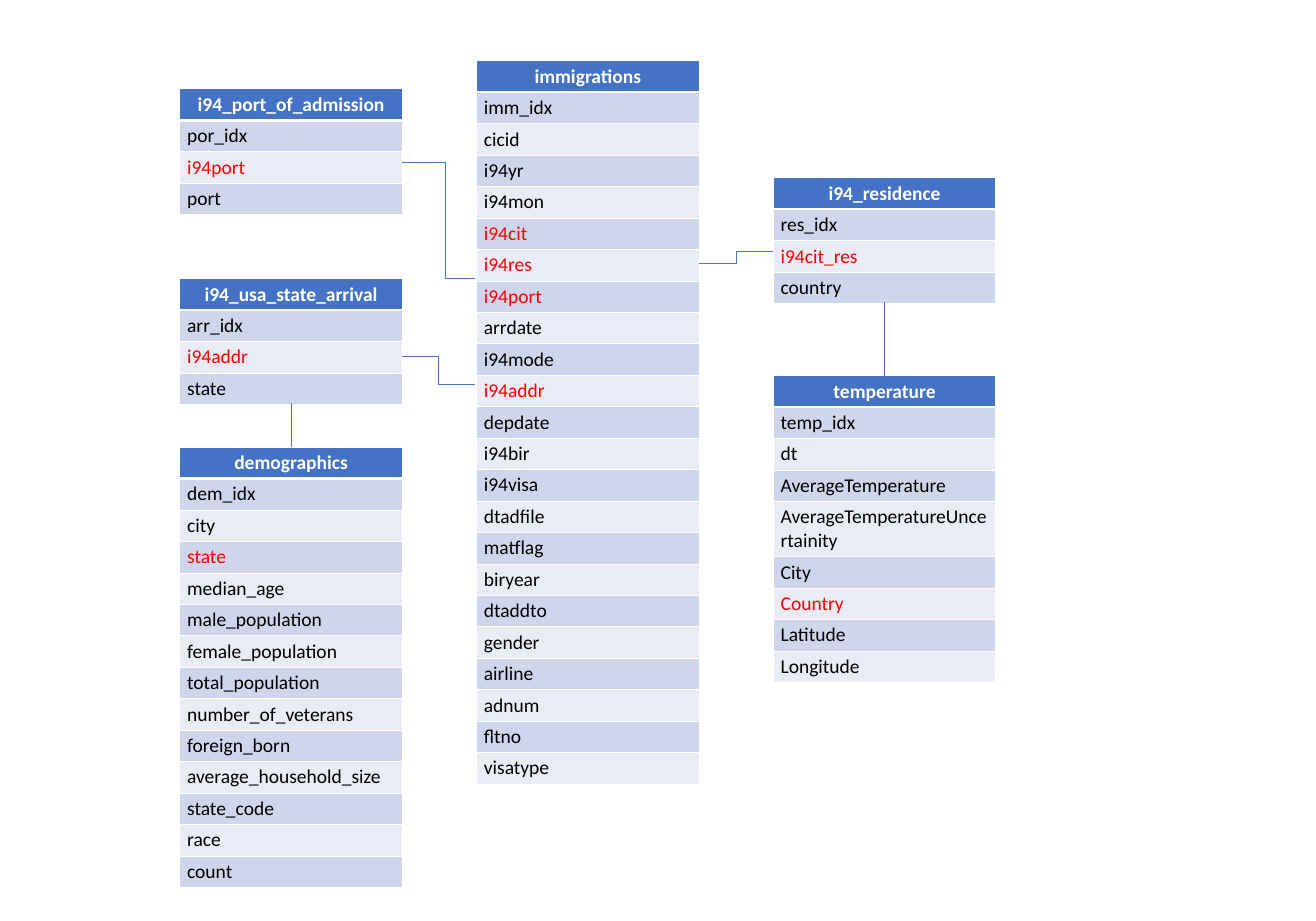
"""Build a database schema slide: six entity tables joined by key links."""
import pptx
import pptx.dml.color
import pptx.enum.shapes
import pptx.enum.text
import pptx.oxml
import pptx.oxml.ns
import pptx.util
from lxml import etree

Inches, Pt = pptx.util.Inches, pptx.util.Pt
STRAIGHT = pptx.enum.shapes.MSO_CONNECTOR.STRAIGHT
ELBOW = pptx.enum.shapes.MSO_CONNECTOR.ELBOW

COLORS = {"header": "4472C4", "odd": "CFD5EA", "even": "E9EBF5",
          "text": "000000", "key": "FF0000", "white": "FFFFFF"}
FONT, FONT_SIZE = "Calibri", 21

ENTITIES = {
    "immigrations": dict(column=1, top=0.91, keys={"i94cit", "i94res", "i94port", "i94addr"}, fields=[
        "imm_idx", "cicid", "i94yr", "i94mon", "i94cit", "i94res", "i94port", "arrdate",
        "i94mode", "i94addr", "depdate", "i94bir", "i94visa", "dtadfile", "matflag",
        "biryear", "dtaddto", "gender", "airline", "adnum", "fltno", "visatype"]),
    "demographics": dict(column=0, top=6.69, keys={"state"}, fields=[
        "dem_idx", "city", "state", "median_age", "male_population", "female_population",
        "total_population", "number_of_veterans", "foreign_born",
        "average_household_size", "state_code", "race", "count"]),
    "temperature": dict(column=2, top=5.62, keys={"Country"}, fields=[
        "temp_idx", "dt", "AverageTemperature", "AverageTemperatureUncertainity",
        "City", "Country", "Latitude", "Longitude"]),
    "i94_residence": dict(column=2, top=2.66, keys={"i94cit_res"},
                          fields=["res_idx", "i94cit_res", "country"]),
    "i94_port_of_admission": dict(column=0, top=1.33, keys={"i94port"},
                                  fields=["por_idx", "i94port", "port"]),
    "i94_usa_state_arrival": dict(column=0, top=4.17, keys={"i94addr"},
                                  fields=["arr_idx", "i94addr", "state"]),
}
STACKED = [("i94_residence", "temperature"), ("i94_usa_state_arrival", "demographics")]

LEFT, PITCH, WIDTH = 2.69, 4.44, 3.33
ROW, TALL_ROW, LONGEST_FIELD = 1.86 / 4, 0.8, 24
LINK_GAP = 0.03


def rgb(name):
    return pptx.dml.color.RGBColor.from_string(COLORS[name])


def left_of(entity):
    return LEFT + PITCH * ENTITIES[entity]["column"]


def row_y(entity, rows):
    return ENTITIES[entity]["top"] + ROW * rows


def add_borders(cell, bottom):
    properties = cell._tc.get_or_add_tcPr()
    for place, (side, width) in enumerate([("L", 1), ("R", 1), ("T", 1), ("B", bottom)]):
        properties.insert(place, pptx.oxml.parse_xml(
            f'<a:ln{side} {pptx.oxml.ns.nsdecls("a")} w="{Pt(width)}"><a:solidFill>'
            f'<a:srgbClr val="{COLORS["white"]}"/></a:solidFill></a:ln{side}>'))


def add_entity(slide, name, column, top, keys, fields):
    labels = [name] + fields
    heights = [TALL_ROW if len(label) > LONGEST_FIELD else ROW for label in labels]
    table = slide.shapes.add_table(len(labels), 1, Inches(left_of(name)), Inches(top),
                                   Inches(WIDTH), Inches(sum(heights))).table
    for index, (label, height) in enumerate(zip(labels, heights)):
        header = index == 0
        table.rows[index].height = Inches(height)
        cell = table.cell(index, 0)
        cell.text = label
        cell.margin_left = cell.margin_right = Inches(0.11)
        cell.margin_top = cell.margin_bottom = Pt(4.1)
        cell.fill.solid()
        cell.fill.fore_color.rgb = rgb("header" if header else "odd" if index % 2 else "even")
        add_borders(cell, 3 if header else 1)
        paragraph = cell.text_frame.paragraphs[0]
        if header:
            paragraph.alignment = pptx.enum.text.PP_ALIGN.CENTER
        font = paragraph.font
        font.name, font.size, font.bold = FONT, Pt(FONT_SIZE), header
        font.color.rgb = rgb("white" if header else "key" if label in keys else "text")


def add_link(slide, kind, start, end):
    link = slide.shapes.add_connector(kind, *map(Inches, start + end))
    link.line.color.rgb = rgb("header")
    link.line.width = Pt(0.5)
    etree.SubElement(link._element.spPr, pptx.oxml.ns.qn("a:effectLst"))


deck = pptx.Presentation()
deck.slide_width, deck.slide_height = Inches(19.69), Inches(13.78)
schema = deck.slides.add_slide(deck.slide_layouts[6])

for entity_name, entity in ENTITIES.items():
    add_entity(schema, entity_name, **entity)

for upper, lower in STACKED:
    middle = left_of(upper) + WIDTH / 2
    bottom_edge = row_y(upper, len(ENTITIES[upper]["fields"]) + 1)
    add_link(schema, STRAIGHT, (middle, bottom_edge), (middle, ENTITIES[lower]["top"]))

lookup_edge = LEFT + WIDTH
facts_left = left_of("immigrations")
facts_right = facts_left + WIDTH

port_y, facts_port_y, bend = row_y("i94_port_of_admission", 2.35), row_y("immigrations", 7), 6.66
port_route = [(lookup_edge, port_y), (bend, port_y), (bend, facts_port_y),
              (facts_left - LINK_GAP, facts_port_y)]
for corner, next_corner in zip(port_route, port_route[1:]):
    add_link(schema, STRAIGHT, corner, next_corner)

add_link(schema, ELBOW, (lookup_edge, row_y("i94_usa_state_arrival", 2.5)),
         (facts_left - LINK_GAP, row_y("immigrations", 10.4)))
add_link(schema, ELBOW, (facts_right, row_y("immigrations", 6.5)),
         (left_of("i94_residence"), row_y("i94_residence", 2.37)))

deck.save("out.pptx")
